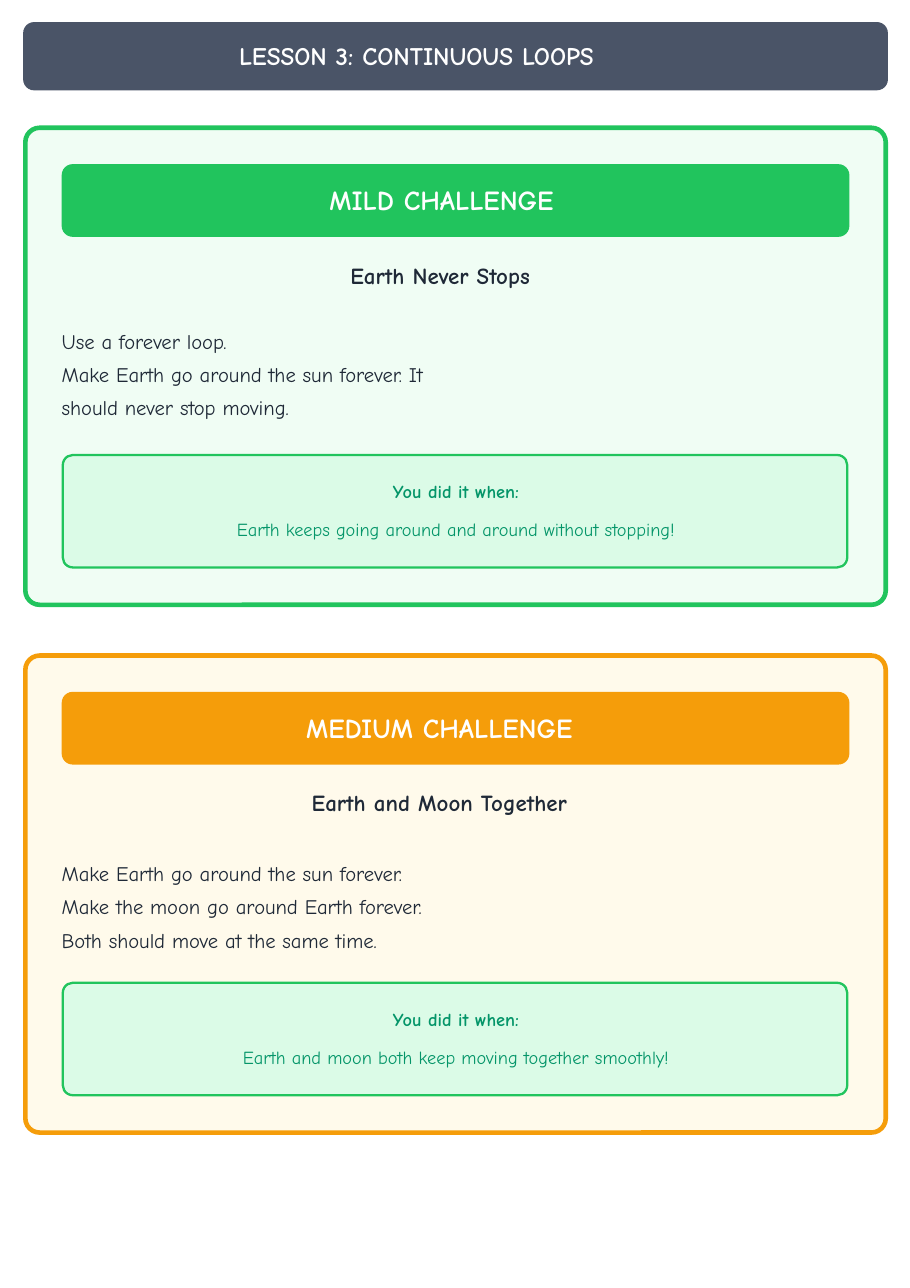
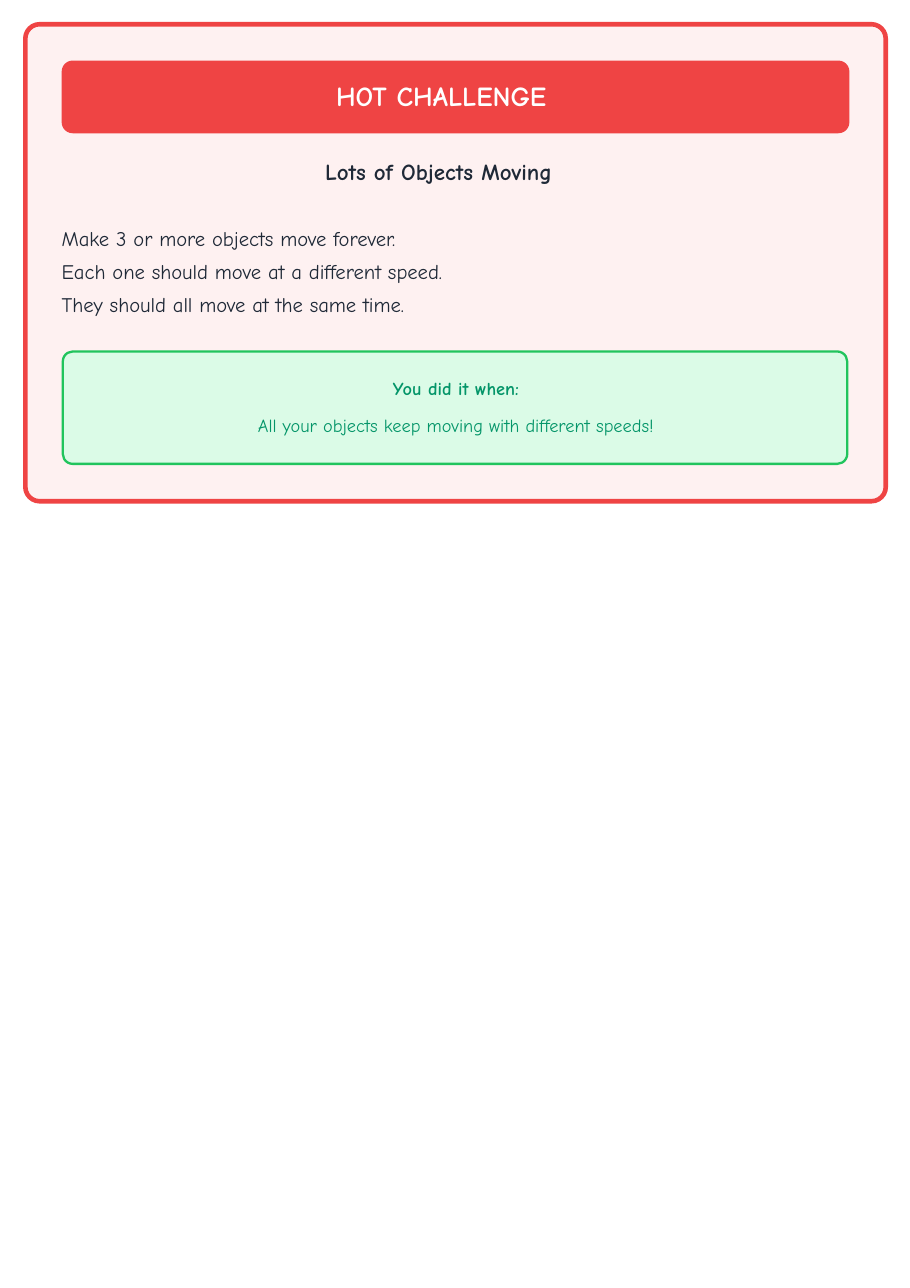
from pptx import Presentation
from pptx import util as u
from pptx.dml.color import RGBColor
from pptx.enum import shapes, text

PX = 9144  # EMU per px, 100 px to the inch
FONT = "Comic Neue"
WHITE = RGBColor(0xFF, 0xFF, 0xFF)
SLATE = RGBColor(0x4A, 0x54, 0x67)
INK = RGBColor(0x1F, 0x29, 0x37)
GREEN = RGBColor(0x21, 0xC4, 0x5D)
GREEN_PALE = RGBColor(0xF0, 0xFD, 0xF4)
GREEN_SOFT = RGBColor(0xDB, 0xFB, 0xE7)
GREEN_DEEP = RGBColor(0x04, 0x95, 0x69)
AMBER = RGBColor(0xF5, 0x9D, 0x0A)
AMBER_PALE = RGBColor(0xFF, 0xFA, 0xEB)
RED = RGBColor(0xEF, 0x44, 0x44)
RED_PALE = RGBColor(0xFE, 0xF1, 0xF1)


def add_panel(slide, box, radius, fill, line=None, weight=0):
    """Rounded rectangle with a corner radius in px."""
    panel = slide.shapes.add_shape(
        shapes.MSO_SHAPE.ROUNDED_RECTANGLE, *[n * PX for n in box])
    panel.adjustments[0] = radius / box[3]
    panel.shadow.inherit = False
    panel.fill.solid()
    panel.fill.fore_color.rgb = fill
    if line is None:
        panel.line.fill.background()
    else:
        panel.line.color.rgb = line
        panel.line.width = u.Pt(weight)


def add_text(slide, box, lines, size, color, bold=False):
    """Text box without side insets; returns its paragraphs."""
    frame = slide.shapes.add_textbox(*[n * PX for n in box]).text_frame
    frame.margin_left = frame.margin_right = frame.margin_bottom = 0
    frame.margin_top = PX
    frame.word_wrap = True
    frame.text = "\n".join(lines)
    for paragraph in frame.paragraphs:
        font = paragraph.runs[0].font
        font.name, font.size, font.bold = FONT, u.Pt(size), bold
        font.color.rgb = color
    frame.paragraphs[0].space_before = u.Pt(1)
    return frame.paragraphs


# Each card: slide index, top, accent, tint, level (text, left, width),
# heading (text, left, width), task offset, task lines, success line
cards = [
    (0, 116, GREEN, GREEN_PALE, ("MILD CHALLENGE", 299, 230),
     ("Earth Never Stops", 318, 193), 174,
     ["Use a forever loop.",
      "Make Earth go around the sun forever. It should never stop moving."],
     "Earth keeps going around and around without stopping!"),
    (0, 595, AMBER, AMBER_PALE, ("MEDIUM CHALLENGE", 278, 273),
     ("Earth and Moon Together", 283, 263), 178,
     ["Make Earth go around the sun forever.",
      "Make the moon go around Earth forever.",
      "Both should move at the same time."],
     "Earth and moon both keep moving together smoothly!"),
    (1, 22, RED, RED_PALE, ("HOT CHALLENGE", 305, 219),
     ("Lots of Objects Moving", 295, 239), 174,
     ["Make 3 or more objects move forever.",
      "Each one should move at a different speed.",
      "They should all move at the same time."],
     "All your objects keep moving with different speeds!"),
]

prs = Presentation()
prs.slide_width, prs.slide_height = 826 * PX, 1169 * PX
pages = [prs.slides.add_slide(prs.slide_layouts[6]) for _ in range(2)]

# Lesson header
add_panel(pages[0], (21, 20, 785, 62), 10, SLATE)
add_text(pages[0], (217, 36, 396, 30), ["LESSON 3: CONTINUOUS LOOPS"],
         16.5, WHITE, bold=True)

# Challenge cards
for page, top, accent, tint, level, heading, task_drop, task, success in cards:
    slide = pages[page]
    add_panel(slide, (23, top, 781, 433), 13, tint, accent, 3)

    # Level banner
    add_panel(slide, (56, top + 33, 715, 66), 10, accent)
    name, left, width = level
    add_text(slide, (left, top + 49, width, 33), [name], 18, WHITE, bold=True)

    # Heading and task
    name, left, width = heading
    add_text(slide, (left, top + 120, width, 28), [name], 15, INK, bold=True)
    for line in add_text(slide, (56, top + task_drop, 360, 84), task, 13.5, INK):
        line.line_spacing = 1.34

    # Success box
    add_panel(slide, (57, top + 297, 712, 102), 9, GREEN_SOFT, GREEN, 1.5)
    prompt, result = add_text(slide, (201, top + 319, 426, 57),
                              ["You did it when:", success], 12, GREEN_DEEP)
    prompt.runs[0].font.bold = True
    result.space_before = u.Pt(10.3)
    for line in (prompt, result):
        line.alignment = text.PP_ALIGN.CENTER

prs.save("out.pptx")
